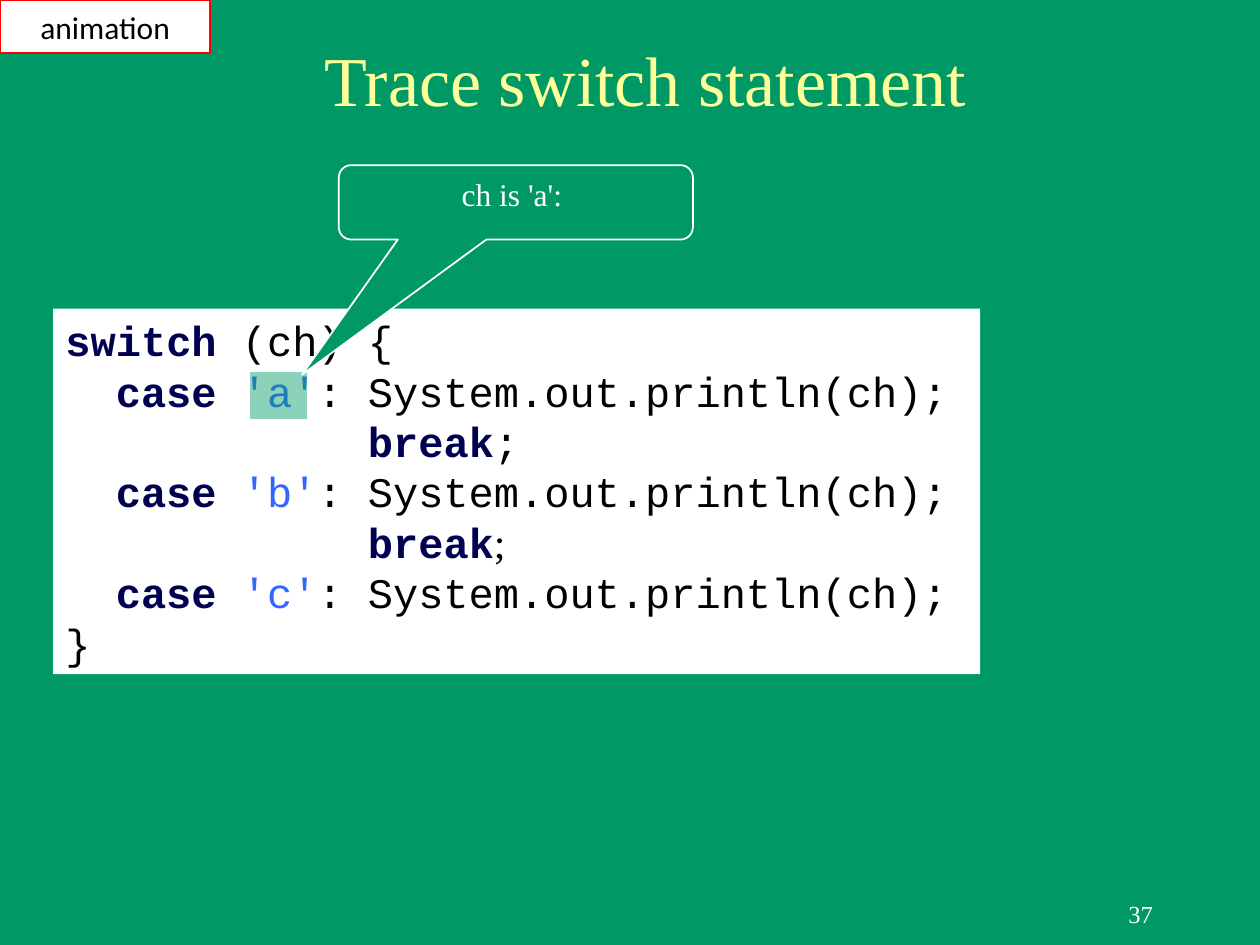
from lxml.etree import SubElement
from pptx import Presentation
from pptx.dml.color import RGBColor
from pptx.enum.shapes import MSO_SHAPE as Shape
from pptx.enum.text import MSO_ANCHOR as Anchor, PP_ALIGN as Align
from pptx.oxml.ns import qn
from pptx.util import Cm, Pt

GREEN, WHITE, BLACK = "009966", "FFFFFF", "000000"
YELLOW, RED, NAVY, BLUE = "FFFF99", "FF0000", "000050", "3366FF"
SERIF, SANS, MONO = "Times New Roman", "Calibri", "Courier New"


def color(code):
    return RGBColor.from_string(code)


def style(run, size, font, code, bold=False):
    run.font.size = Pt(size)
    run.font.name = font
    run.font.bold = bold
    run.font.color.rgb = color(code)


def write(shape, text, size, font, code, align=Align.CENTER, anchor=Anchor.MIDDLE):
    frame = shape.text_frame
    frame.word_wrap = True
    frame.vertical_anchor = anchor
    frame.text = text
    para = frame.paragraphs[0]
    para.alignment = align
    style(para.runs[0], size, font, code)


def add_label(slide, box, *text):
    write(slide.shapes.add_textbox(*map(Cm, box)), *text)


def add_panel(slide, box, fill, line=None, kind=Shape.RECTANGLE):
    panel = slide.shapes.add_shape(kind, *map(Cm, box))
    panel.shadow.inherit = False
    panel.fill.solid()
    panel.fill.fore_color.rgb = color(fill)
    if line:
        panel.line.color.rgb = color(line)
        panel.line.width = Pt(1)
    else:
        panel.line.fill.background()
    return panel


def case_line(char):
    return [("  ", BLACK), ("case ", NAVY), (f"'{char}'", BLUE),
            (": System.out.println(ch);", BLACK)]


def break_line(font):
    return [(" " * 12 + "break", NAVY), (";", BLACK, font)]


def add_code(slide, box):
    """Show the switch code, with the first case value highlighted."""
    lines = [
        [("switch", NAVY), (" (ch) {", BLACK)],
        case_line("a"), break_line(MONO),
        case_line("b"), break_line(SERIF),
        case_line("c"),
        [("}", BLACK)],
    ]
    frame = add_panel(slide, box, WHITE).text_frame
    frame.word_wrap = True
    frame.vertical_anchor = Anchor.TOP
    for i, line in enumerate(lines):
        para = frame.paragraphs[0] if i == 0 else frame.add_paragraph()
        para.alignment = Align.LEFT
        for text, code, *font in line:
            run = para.add_run()
            run.text = text
            style(run, 24, font[0] if font else MONO, code, code == NAVY)

    left, top = box[:2]
    mark = add_panel(slide, (left + 3.96, top + 1.27, 1.17, 0.97), GREEN, WHITE)
    tint = mark.fill._xPr.find(qn("a:solidFill"))[0]
    SubElement(tint, qn("a:alpha"), val="45000")


def add_callout(slide, box, text):
    call = add_panel(slide, box, GREEN, WHITE, Shape.ROUNDED_RECTANGULAR_CALLOUT)
    for i, value in enumerate((-0.604, 2.317, 0.167)):
        call.adjustments[i] = value
    write(call, text, 18, SERIF, WHITE, Align.CENTER, Anchor.TOP)


def add_tag(slide, box, text):
    write(add_panel(slide, box, WHITE, RED), text, 18, SANS, BLACK)


def main():
    deck = Presentation()
    deck.slide_width, deck.slide_height = Cm(25.4), Cm(19.05)
    slide = deck.slides.add_slide(deck.slide_layouts[6])
    slide.background.fill.solid()
    slide.background.fill.fore_color.rgb = color(GREEN)

    add_label(slide, (18.21, 17.78, 5.28, 1.27), "37", 14, SERIF, WHITE, Align.RIGHT)
    add_label(slide, (1.9, 0.89, 22.23, 1.4), "Trace switch statement", 40, SERIF, YELLOW)
    add_code(slide, (1.07, 6.22, 18.69, 7.37))
    add_callout(slide, (6.83, 3.33, 7.14, 1.5), "ch is 'a': ")
    add_tag(slide, (0, 0, 4.24, 1.07), "animation")
    deck.save("out.pptx")


if __name__ == "__main__":
    main()
